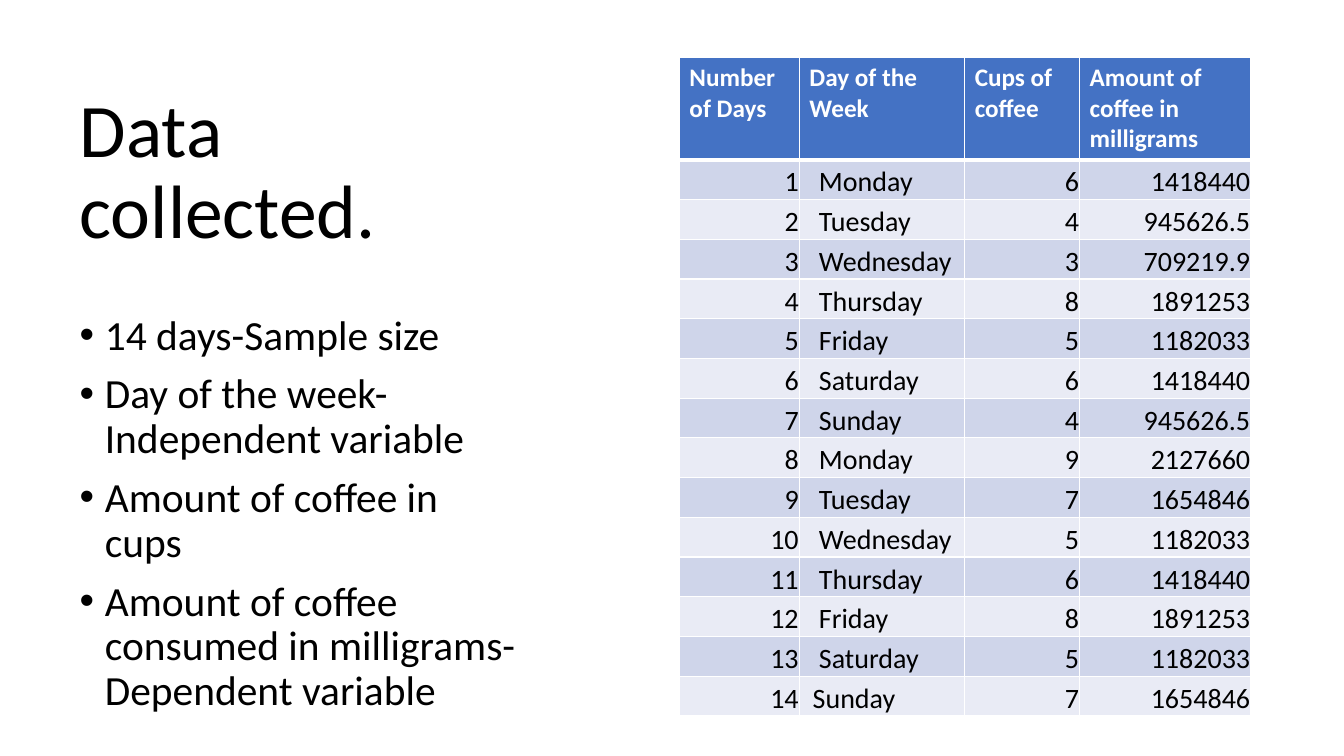
from lxml import etree
from pptx import Presentation
from pptx import util as u
from pptx.dml import color
from pptx.enum import text
from pptx.oxml import ns

Pt = u.Pt
DAYS = ["Monday", "Tuesday", "Wednesday", "Thursday", "Friday", "Saturday", "Sunday"]
CUPS = [6, 4, 3, 8, 5, 6, 4, 9, 7, 5, 6, 8, 5, 7]
MILLIGRAMS = {3: "709219.9", 4: "945626.5", 5: "1182033", 6: "1418440",
              7: "1654846", 8: "1891253", 9: "2127660"}
HEADERS = ["Number of Days", "Day of the Week", "Cups of coffee",
           "Amount of coffee in milligrams"]
POINTS = ["14 days-Sample size", "Day of the week-Independent variable",
          "Amount of coffee in cups",
          "Amount of coffee consumed in milligrams-Dependent variable"]


def rgb(value):
    return color.RGBColor.from_string(value)


def write(p, content, size, font="Calibri", fill="000000", bold=False,
          align="LEFT", line=None, before=None):
    p.alignment = getattr(text.PP_ALIGN, align)
    if line:
        p.line_spacing = line
    if before is not None:
        p.space_before = Pt(before)
    r = p.add_run()
    r.text = content
    r.font.name, r.font.size, r.font.bold = font, Pt(size), bold
    r.font.color.rgb = rgb(fill)


class SlideBuilder:
    header_fill = "4472C4"
    bands = ["CFD5EA", "E9EBF5"]
    border = "FFFFFF"

    def __init__(self, s):
        self.s = s

    def place(self, sp, left, top, width, height, anchor):
        sp.left, sp.top, sp.width, sp.height = map(Pt, (left, top, width, height))
        tf = sp.text_frame
        tf.word_wrap = True
        tf.auto_size = text.MSO_AUTO_SIZE.NONE
        tf.vertical_anchor = anchor
        return tf

    def title(self, content, *box):
        tf = self.place(self.s.shapes.title, *box, text.MSO_ANCHOR.BOTTOM)
        write(tf.paragraphs[0], content, 54, line=0.9, before=0)

    def bullets(self, items, *box):
        tf = self.place(self.s.placeholders[1], *box, text.MSO_ANCHOR.TOP)
        for i, item in enumerate(items):
            p = tf.add_paragraph() if i else tf.paragraphs[0]
            write(p, item, 29.6, line=0.9, before=10)
            pPr = p._p.get_or_add_pPr()
            pPr.set("marL", str(Pt(18)))
            pPr.set("indent", str(-Pt(18)))
            etree.SubElement(pPr, ns.qn("a:buFont"), typeface="Arial")
            etree.SubElement(pPr, ns.qn("a:buChar"), char="•")

    def style_cell(self, cell, fill, top=1, bottom=1):
        tcPr = cell._tc.get_or_add_tcPr()
        for side, width in zip("LRTB", (1, 1, top, bottom)):
            ln = etree.SubElement(tcPr, ns.qn("a:ln" + side), w=str(Pt(width)))
            solid = etree.SubElement(ln, ns.qn("a:solidFill"))
            etree.SubElement(solid, ns.qn("a:srgbClr"), val=self.border)
        cell.fill.solid()
        cell.fill.fore_color.rgb = rgb(fill)

    def body_cell(self, cell, content, row, align, indent):
        self.style_cell(cell, self.bands[(row - 1) % 2], top=3 if row == 1 else 1)
        cell.margin_left, cell.margin_right = Pt(indent), Pt(0.5)
        cell.margin_top, cell.margin_bottom = Pt(0.5), Pt(0)
        cell.vertical_anchor = text.MSO_ANCHOR.BOTTOM
        write(cell.text_frame.paragraphs[0], content, 20, align=align)

    def table(self, headers, rows, left, top, widths, height, header_height, row_height):
        frame = self.s.shapes.add_table(len(rows) + 1, len(headers), Pt(left), Pt(top),
                                        Pt(sum(widths)), Pt(height))
        table = frame.table
        for column, width in zip(table.columns, widths):
            column.width = Pt(width)
        for i, row in enumerate(table.rows):
            row.height = Pt(row_height if i else header_height)
        frame.height = Pt(height)
        for c, header in enumerate(headers):
            cell = table.cell(0, c)
            self.style_cell(cell, self.header_fill, bottom=3)
            write(cell.text_frame.paragraphs[0], header, 18, fill="FFFFFF", bold=True)
        for i, values in enumerate(rows, 1):
            day_indent = 9.5 if i == len(rows) else 14
            for c, value in enumerate(values):
                align, indent = ("LEFT", day_indent) if c == 1 else ("RIGHT", 0.5)
                self.body_cell(table.cell(i, c), value, i, align, indent)


def main():
    prs = Presentation()
    prs.slide_width, prs.slide_height = Pt(960), Pt(540)
    slide = SlideBuilder(prs.slides.add_slide(prs.slide_layouts[1]))
    slide.title("Data collected.", 49.7, 50.4, 270, 135.4)
    slide.bullets(POINTS, 49.7, 221, 332.6, 297.4)
    rows = [(str(i + 1), DAYS[i % 7], str(cups), MILLIGRAMS[cups])
            for i, cups in enumerate(CUPS)]
    slide.table(HEADERS, rows, 485.3, 41, [85.7, 118.1, 82.1, 122.4], 470.2, 59, 28.4)
    prs.save("out.pptx")


if __name__ == "__main__":
    main()
